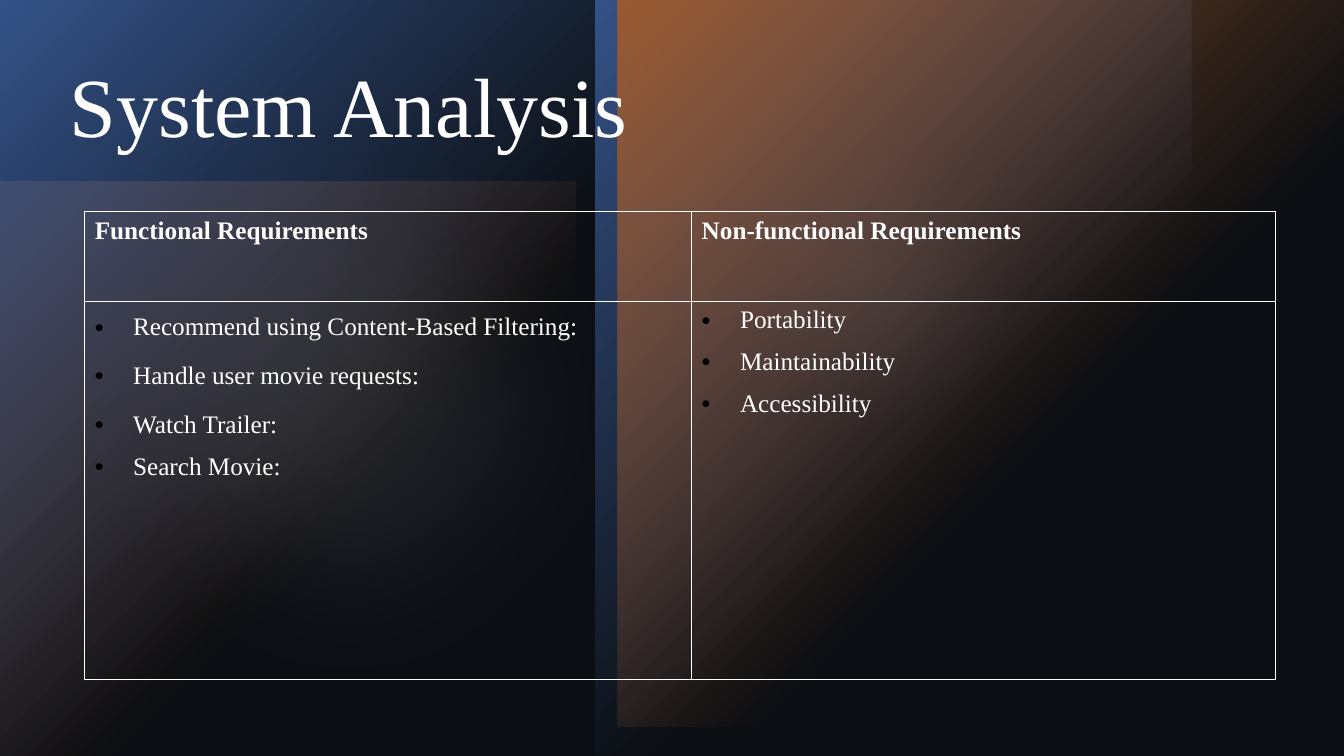
from lxml import etree
from pptx import Presentation
from pptx.dml.color import RGBColor
from pptx.enum.shapes import MSO_SHAPE as Shape
from pptx.enum.text import MSO_ANCHOR as Anchor
from pptx.oxml import parse_xml
from pptx.oxml.ns import nsdecls, qn
from pptx.util import Inches, Pt

# Content
TITLE = "System Analysis"
HEADS = ["Functional Requirements", "Non-functional Requirements"]
LISTS = [  # (text, line spacing)
    [("Recommend using Content-Based Filtering:", 1.25),
     ("Handle user movie requests:", 1.25),
     ("Watch Trailer:", 1.25),
     ("Search Movie:", 1)],
    [("Portability", 1), ("Maintainability", 1), ("Accessibility", 1)],
]

# Format
FONT = "Times New Roman"
WHITE = RGBColor(0xFF, 0xFF, 0xFF)
BLACK = RGBColor(0, 0, 0)
BLUE = RGBColor(0x44, 0x72, 0xC4)
ORANGE = RGBColor(0xED, 0x7D, 0x31)
GRAY = RGBColor(0xA3, 0xA3, 0xA3)
NAVY = RGBColor(0x1D, 0x24, 0x2E)
WIDE, HIGH = 13.33, 7.5
COLS, ROWS = [6.02, 5.79], [0.89, 3.75]
INDENT = 0.38

# Backdrop, back to front: shape, box, colour, opacity, style
BACKDROP = [
    (Shape.RECTANGLE, (0, 1.8, 5.71, 5.71), ORANGE, 60, "fade"),
    (Shape.OVAL, (6.29, 0.43, 4.72, 4.72), GRAY, 60, "soft"),
    (Shape.OVAL, (0, 0.56, 6.94, 6.94), GRAY, 20, "soft"),
    (Shape.RECTANGLE, (0, 0, 5.91, HIGH), BLUE, 100, "fade"),
    (Shape.RECTANGLE, (5.91, 0, 5.91, HIGH), BLUE, 100, "fade"),
    (Shape.RECTANGLE, (6.13, 0, 7.21, 7.21), ORANGE, 100, "fade"),
    (Shape.RECTANGLE, (0, 0, WIDE, HIGH), NAVY, 40, "flat"),
]


def write(para, text, size=18, bold=False, bullet=False, line=None, before=None):
    if bullet:
        props = para._p.get_or_add_pPr()
        props.set("marL", str(Inches(INDENT)))
        props.set("indent", str(-Inches(INDENT)))
        props.append(parse_xml(f'<a:buClr {nsdecls("a")}><a:srgbClr val="{BLACK}"/></a:buClr>'))
        props.append(parse_xml(f'<a:buFont {nsdecls("a")} typeface="Arial"/>'))
        props.append(parse_xml(f'<a:buChar {nsdecls("a")} char="•"/>'))
    para.line_spacing = line
    para.space_before = before
    run = para.add_run()
    run.text = text
    run.font.name, run.font.size, run.font.bold = FONT, Pt(size), bold
    run.font.color.rgb = WHITE


def fade(shape, color, alpha):
    """Fill that runs from the top left corner to clear."""
    stops = "".join(
        f'<a:gs pos="{pos}"><a:srgbClr val="{color}"><a:alpha val="{part * 1000}"/></a:srgbClr></a:gs>'
        for pos, part in [(0, alpha), (60000, 0)])
    fill = parse_xml(
        f'<a:gradFill {nsdecls("a")} rotWithShape="1"><a:gsLst>{stops}</a:gsLst>'
        '<a:path path="circle"><a:fillToRect r="100000" b="100000"/></a:path></a:gradFill>')
    shape._element.spPr.find(qn("a:prstGeom")).addnext(fill)


def tint(shape, color, alpha):
    shape.fill.solid()
    shape.fill.fore_color.rgb = color
    tone = shape._element.spPr.find(".//" + qn("a:srgbClr"))
    etree.SubElement(tone, qn("a:alpha")).set("val", str(alpha * 1000))


def frame(cell):
    props = cell._tc.get_or_add_tcPr()
    for at, side in enumerate("LRTB"):
        props.insert(at, parse_xml(
            f'<a:ln{side} {nsdecls("a")} w="{Pt(1)}"><a:solidFill>'
            f'<a:srgbClr val="{WHITE}"/></a:solidFill></a:ln{side}>'))


deck = Presentation()
deck.slide_width, deck.slide_height = Inches(WIDE), Inches(HIGH)
slide = deck.slides.add_slide(deck.slide_layouts[5])
slide.background.fill.solid()
slide.background.fill.fore_color.rgb = BLACK

# Backdrop
for kind, box, color, alpha, style in BACKDROP:
    shape = slide.shapes.add_shape(kind, *map(Inches, box))
    shape.line.fill.background()
    shape.shadow.inherit = False
    if style == "fade":
        fade(shape, color, alpha)
    else:
        tint(shape, color, alpha)
    if style == "soft":
        blur = shape._element.spPr.find(qn("a:effectLst"))
        etree.SubElement(blur, qn("a:softEdge")).set("rad", str(Pt(100)))

# Title, brought in front of the backdrop
title = slide.shapes.title
slide.shapes._spTree.append(title._element)
title.left, title.top, title.width, title.height = map(Inches, (0.59, 0.59, 12.14, 1.98))
title.text_frame.vertical_anchor = Anchor.TOP
para = title.text_frame.paragraphs[0]
write(para, TITLE, size=60, line=0.9)
para.alignment = 1

# Table of requirements
table = slide.shapes.add_table(
    2, 2, *map(Inches, (0.84, 2.1, sum(COLS), sum(ROWS)))).table
table.first_row = table.horz_banding = False
for row, high in zip(table.rows, ROWS):
    row.height = Inches(high)
for at, (wide, head, items) in enumerate(zip(COLS, HEADS, LISTS)):
    table.columns[at].width = Inches(wide)
    top, body = table.cell(0, at), table.cell(1, at)
    for cell in (top, body):
        cell.fill.background()
        frame(cell)
    write(top.text_frame.paragraphs[0], head, bold=True)
    for num, (text, line) in enumerate(items):
        text_box = body.text_frame
        para = text_box.add_paragraph() if num else text_box.paragraphs[0]
        write(para, text, bullet=True, line=line, before=Pt(10) if num else None)

deck.save("out.pptx")
